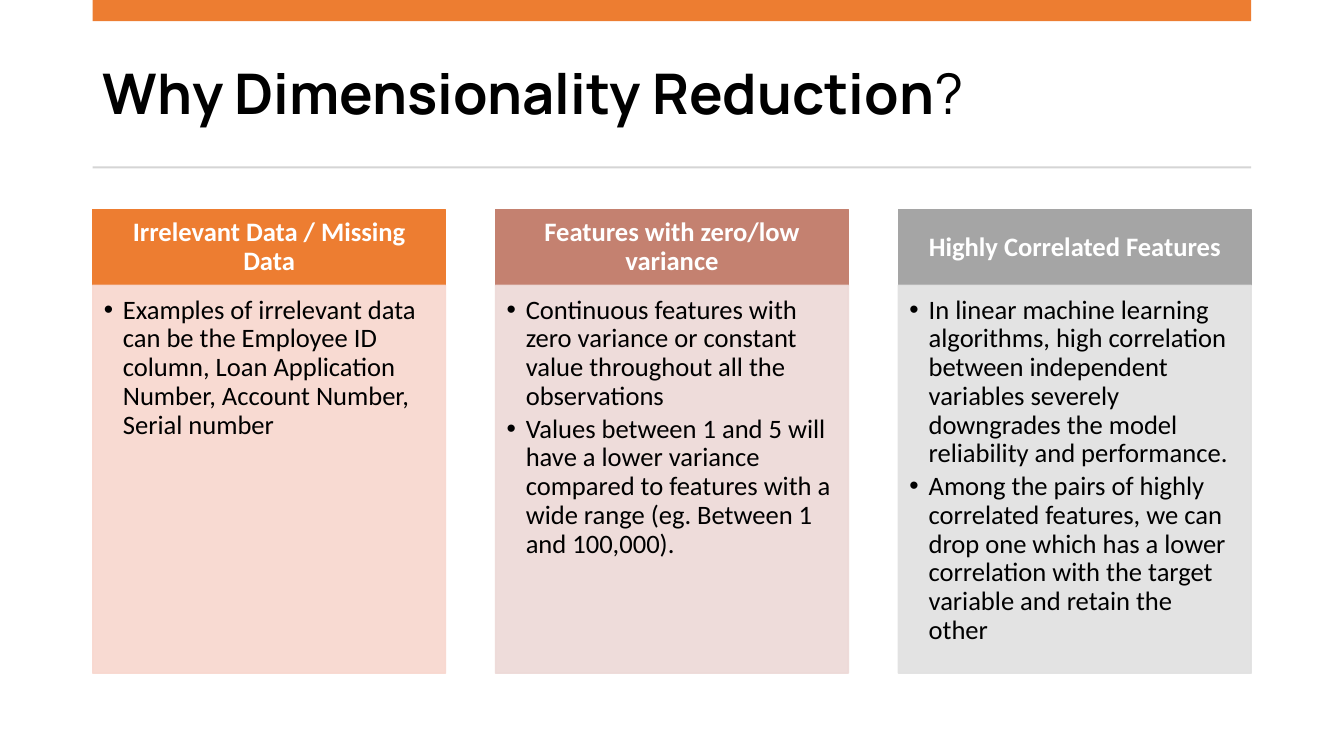
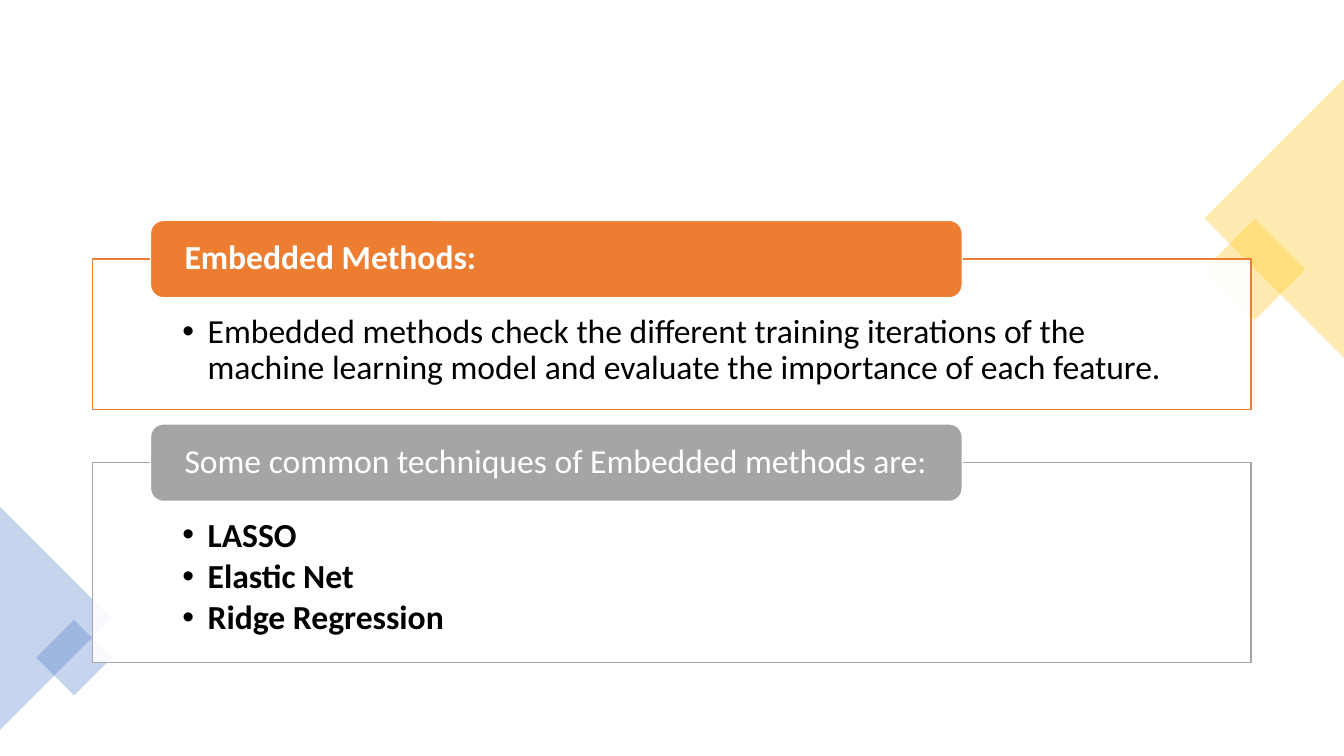
from lxml import etree
from pptx import Presentation
from pptx import util as u
from pptx.dml.color import RGBColor
from pptx.enum import shapes, text
from pptx.oxml.ns import qn

COLORS = {
    "black": "000000", "white": "FFFFFF", "rule": "D5D5D5",
    "orange": "ED7D31", "peach": "F8D7CE",
    "clay": "C48170", "blush": "EDD9D7",
    "grey": "A5A5A5", "pale_grey": "E1E1E1",
    "gold": "FFC000", "blue": "4472C4",
}
BODY_FONT, TITLE_FONT = "Calibri", "Manrope"
LINE_SPACING, BULLET_GAP = 0.9, 0.15

# Horizontal lengths are percent of slide width, vertical ones of slide height.
LEFT, CONTENT_WIDTH = 6.9, 86.2

REASONS = [
    ("Irrelevant Data / Missing Data", "orange", "peach",
     ["Examples of irrelevant data can be the Employee ID column, Loan Application Number, "
      "Account Number, Serial number"]),
    ("Features with zero/low variance", "clay", "blush",
     ["Continuous features with zero variance or constant value throughout all the observations",
      "Values between 1 and 5 will have a lower variance compared to features with a wide range "
      "(eg. Between 1 and 100,000)."]),
    ("Highly Correlated Features", "grey", "pale_grey",
     ["In linear machine learning algorithms, high correlation between independent variables "
      "severely downgrades the model reliability and performance.",
      "Among the pairs of highly correlated features, we can drop one which has a lower "
      "correlation with the target variable and retain the other"]),
]

# heading, heading is bold, colour, panel top, panel height, bullets, bullets are bold
METHODS = [
    ("Embedded Methods:", True, "orange", 34.27, 19.87,
     ["Embedded methods check the different training iterations of the machine learning model "
      "and evaluate the importance of each feature."], False),
    ("Some common techniques of Embedded methods are:", False, "grey", 61.2, 26.4,
     ["LASSO", "Elastic Net", "Ridge Regression"], True),
]


class Deck:
    """Holds the shared style and the slide being drawn."""

    def __init__(self):
        self.presentation = Presentation()
        self.presentation.slide_width = u.Inches(13.33)
        self.presentation.slide_height = u.Inches(7.5)
        self.slide = None

    def new_slide(self):
        self.slide = self.presentation.slides.add_slide(self.presentation.slide_layouts[6])

    def x(self, share):
        return round(self.presentation.slide_width * share / 100)

    def y(self, share):
        return round(self.presentation.slide_height * share / 100)

    def frame(self, left, top, width, height):
        return self.x(left), self.y(top), self.x(width), self.y(height)

    def shape(self, kind, box, fill, line=None, opacity=100):
        """Draw a preset in an EMU box; a line of the fill's colour shares its opacity."""
        shape = self.slide.shapes.add_shape(kind, *box)
        shape.shadow.inherit = False
        shape.fill.solid()
        shape.fill.fore_color.rgb = RGBColor.from_string(COLORS[fill])
        if line:
            shape.line.color.rgb = RGBColor.from_string(COLORS[line])
            shape.line.width = u.Pt(1)
        else:
            shape.line.fill.background()
        if opacity < 100:
            for color in shape.element.spPr.iter(qn("a:srgbClr")):
                if color.get("val") == COLORS[fill]:
                    etree.SubElement(color, qn("a:alpha"), val=str(opacity * 1000))
        return shape

    def rectangle(self, left, top, width, height, fill, line=None, opacity=100):
        box = self.frame(left, top, width, height)
        return self.shape(shapes.MSO_SHAPE.RECTANGLE, box, fill, line, opacity)

    def text_area(self, shape, insets, anchor=text.MSO_ANCHOR.MIDDLE):
        """Set insets in inches: left, top, right, bottom."""
        area = shape.text_frame
        area.word_wrap = True
        area.vertical_anchor = anchor
        (area.margin_left, area.margin_top,
         area.margin_right, area.margin_bottom) = map(u.Inches, insets)
        return area

    def add_runs(self, paragraph, runs, size, color, font=BODY_FONT, align=text.PP_ALIGN.LEFT):
        """Add (wording, bold) runs to a paragraph."""
        paragraph.alignment = align
        paragraph.line_spacing = LINE_SPACING
        for wording, bold in runs:
            run = paragraph.add_run()
            run.text = wording
            run.font.name, run.font.size, run.font.bold = font, u.Pt(size), bold
            run.font.color.rgb = RGBColor.from_string(COLORS[color])

    def heading(self, shape, wording, size, insets, bold=True, align=text.PP_ALIGN.LEFT):
        area = self.text_area(shape, insets)
        self.add_runs(area.paragraphs[0], [(wording, bold)], size, "white", align=align)

    def bullets(self, shape, items, size, insets, indent, bold=False):
        area = self.text_area(shape, insets, text.MSO_ANCHOR.TOP)
        for index, item in enumerate(items):
            paragraph = area.add_paragraph() if index else area.paragraphs[0]
            self.add_runs(paragraph, [(item, bold)], size, "black")
            paragraph.space_after = u.Pt(size * BULLET_GAP)
            properties = paragraph._p.get_or_add_pPr()
            properties.set("marL", str(u.Inches(indent)))
            properties.set("indent", str(-u.Inches(indent)))
            etree.SubElement(properties, qn("a:buFont"), typeface="Arial")
            etree.SubElement(properties, qn("a:buChar"), char="•")

    def title(self, runs):
        box = self.slide.shapes.add_textbox(*self.frame(LEFT, 4.93, CONTENT_WIDTH, 15.73))
        area = self.text_area(box, (0.1, 0.05, 0.1, 0.05))
        self.add_runs(area.paragraphs[0], runs, 40, "black", TITLE_FONT)
        self.rectangle(LEFT, 0, CONTENT_WIDTH, 2.8, "orange")
        self.rectangle(LEFT, 22, CONTENT_WIDTH, 0.27, "rule")

    def ornament(self, kind, center_x, center_y, width, height, rotation, color):
        """Draw a rotated shape around an EMU centre, with EMU sides."""
        box = (center_x - width // 2, center_y - height // 2, width, height)
        self.shape(kind, box, color, opacity=30).rotation = rotation

    def diamond(self, center_x, center_y, side, color):
        side = self.y(side)
        self.ornament(shapes.MSO_SHAPE.RECTANGLE, self.x(center_x), self.y(center_y),
                      side, side, 45, color)

    def edge_triangle(self, center_y, base, color, on_right):
        """Draw a right-angled triangle whose base lies on a side of the slide."""
        base = self.y(base)
        height = base // 2
        center_x = self.x(100) - height // 2 if on_right else height // 2
        self.ornament(shapes.MSO_SHAPE.ISOSCELES_TRIANGLE, center_x, self.y(center_y),
                      base, height, 270 if on_right else 90, color)

    def reason_column(self, left, width, heading, color, tint, items):
        top, header_height = 27.73, 10
        header = self.rectangle(left, top, width, header_height, color, color)
        self.heading(header, heading, 19, (0.15, 0.08, 0.15, 0.08), align=text.PP_ALIGN.CENTER)
        body = self.rectangle(left, top + header_height, width, 51.33, tint, tint, 90)
        self.bullets(body, items, 19, (0.11, 0.11, 0.15, 0.17), 0.19)

    def method_panel(self, heading, heading_bold, color, top, height, items, items_bold):
        """Draw an outlined panel with a tab centred on its upper edge."""
        panel = self.rectangle(LEFT, top, CONTENT_WIDTH, height, "white", color, 90)
        self.bullets(panel, items, 24, (0.89, 0.55, 0.89, 0.19), 0.25, items_bold)
        tab_height = 10.25
        tab = self.shape(shapes.MSO_SHAPE.ROUNDED_RECTANGLE,
                         self.frame(11.2, top - tab_height / 2, 60.4, tab_height),
                         color, "white")
        self.heading(tab, heading, 24, (0.3, 0, 0.3, 0), heading_bold)


def build_reasons(deck):
    deck.new_slide()
    deck.title([("Why Dimensionality Reduction", True), ("?", False)])
    width = 26.25
    pitch = (CONTENT_WIDTH - width) / (len(REASONS) - 1)
    for index, reason in enumerate(REASONS):
        deck.reason_column(LEFT + index * pitch, width, *reason)


def build_methods(deck):
    deck.new_slide()
    deck.diamond(93.36, 35.67, 9.47, "gold")
    deck.edge_triangle(28.87, 36.93, "gold", on_right=True)
    deck.edge_triangle(81.8, 29.47, "blue", on_right=False)
    deck.diamond(5.51, 87, 7.07, "blue")
    for method in METHODS:
        deck.method_panel(*method)


def main():
    deck = Deck()
    build_reasons(deck)
    build_methods(deck)
    deck.presentation.save("out.pptx")


if __name__ == "__main__":
    main()
